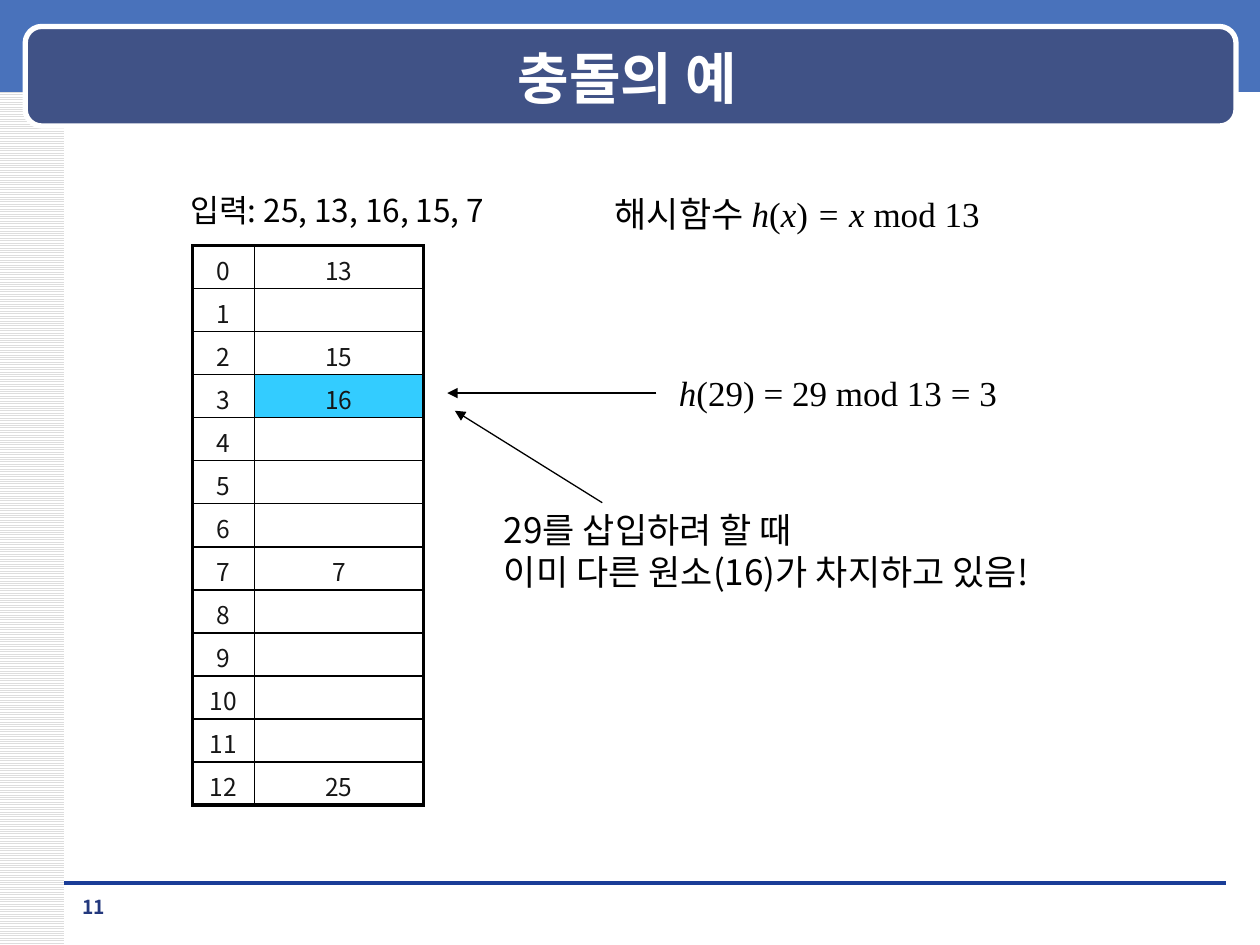
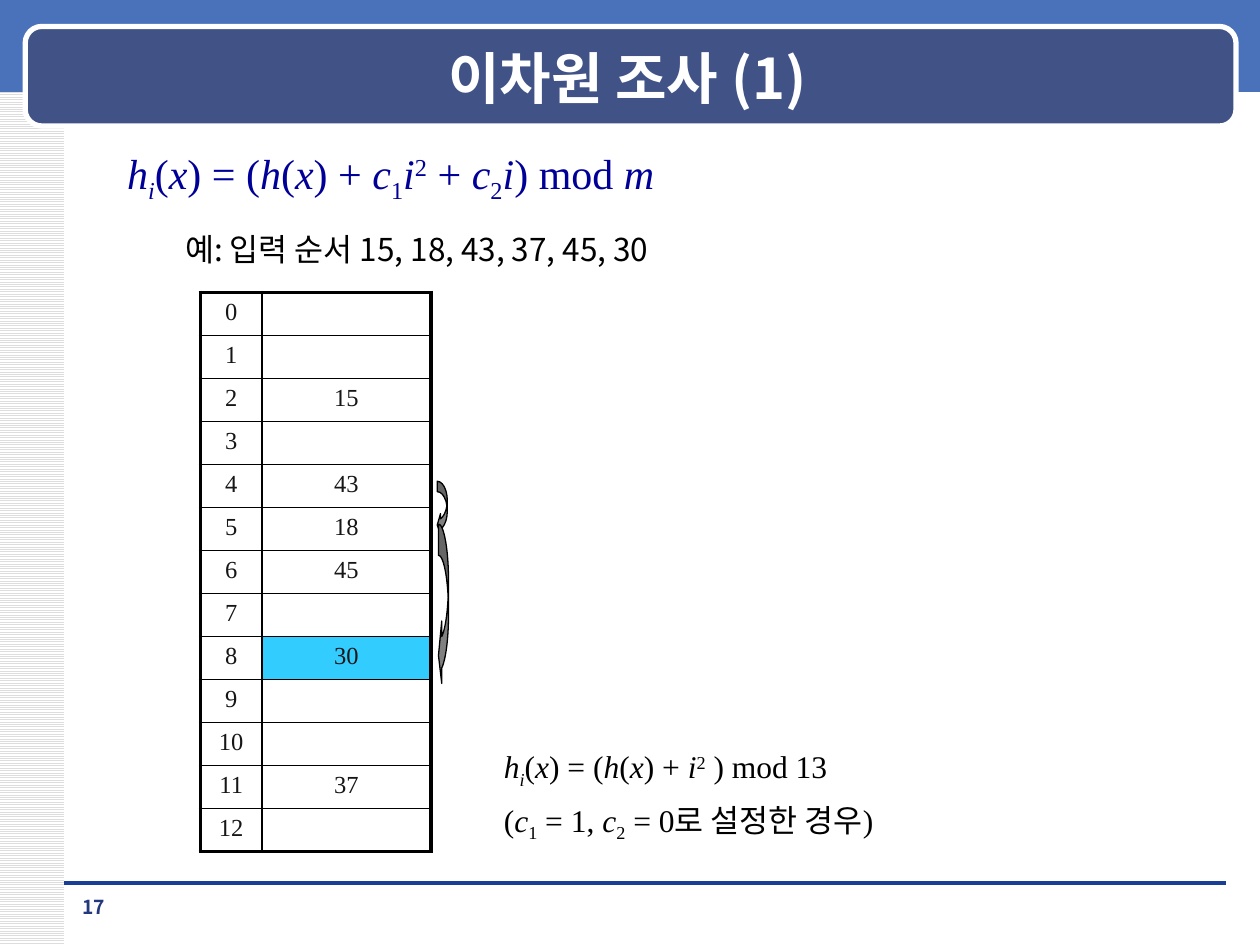
from dataclasses import dataclass
from typing import Optional

import pptx
import pptx.dml.color
import pptx.enum.dml
import pptx.enum.shapes
import pptx.enum.text
import pptx.oxml.ns
import pptx.util
from lxml import etree

Inches = pptx.util.Inches
Pt = pptx.util.Pt
qn = pptx.oxml.ns.qn
MSO_SHAPE = pptx.enum.shapes.MSO_SHAPE
CENTER = pptx.enum.text.PP_ALIGN.CENTER

KOREAN = "Noto Sans CJK KR"
SERIF = "Times New Roman"
COLORS = {
    "white": "FFFFFF", "black": "000000", "stripe": "DDDDDD", "band": "4972BB",
    "title_bar": "405286", "footer_rule": "1A3D97", "page": "23387D",
    "cell_text": "161616", "collision": "33CCFF", "formula": "000099", "probe": "808080",
}
SLOTS = 13
TABLE_HEIGHT = 4.44
COLUMN_WIDTHS = (0.49, 1.34)


@dataclass(frozen=True)
class Run:
    text: str
    italic: bool = False
    baseline: int = 0
    font: Optional[str] = None


@dataclass(frozen=True)
class Style:
    size: float
    font: str = KOREAN
    color: str = "black"
    bold: bool = False
    space_after: float = 0
    line_spacing: Optional[float] = None


@dataclass(frozen=True)
class TextBox:
    at: tuple[float, float, float, float]
    style: Style
    lines: list[list[Run]]
    wrap: bool = False


@dataclass(frozen=True)
class HashTable:
    left: float
    top: float
    font: str
    stored: dict[int, int]
    highlighted: int


@dataclass(frozen=True)
class Arrow:
    start: tuple[float, float]
    end: tuple[float, float]


@dataclass(frozen=True)
class Probe:
    at: tuple[float, float, float, float]
    adjustments: tuple[float, float, float]


def rgb(name: str) -> pptx.dml.color.RGBColor:
    return pptx.dml.color.RGBColor.from_string(COLORS[name])


def var(text: str) -> Run:
    return Run(text, italic=True)


def sub(text: str, italic: bool = False) -> Run:
    return Run(text, italic, -25)


def sup(text: str) -> Run:
    return Run(text, baseline=30)


def add_run(paragraph, part: Run, style: Style) -> None:
    run = paragraph.add_run()
    run.text = part.text
    font = run.font
    font.size, font.name = Pt(style.size), part.font or style.font
    font.bold, font.italic = style.bold, part.italic
    font.color.rgb = rgb(style.color)
    properties = run._r.get_or_add_rPr()
    etree.SubElement(properties, qn("a:ea"), typeface=KOREAN)
    if part.baseline:
        properties.set("baseline", str(part.baseline * 1000))


def add_text(slide, box: TextBox, align=None, grow: bool = True) -> None:
    frame = slide.shapes.add_textbox(*map(Inches, box.at)).text_frame
    frame.word_wrap = box.wrap
    if grow:
        frame.auto_size = pptx.enum.text.MSO_AUTO_SIZE.SHAPE_TO_FIT_TEXT
    for index, line in enumerate(box.lines):
        paragraph = frame.add_paragraph() if index else frame.paragraphs[0]
        paragraph.alignment = align
        paragraph.space_after = Pt(box.style.space_after)
        paragraph.line_spacing = box.style.line_spacing
        for part in line:
            add_run(paragraph, part, box.style)


def add_filled(slide, kind, at, fill: str, line: Optional[str] = None, width: float = 0):
    shape = slide.shapes.add_shape(kind, *map(Inches, at))
    shape.shadow.inherit = False
    shape.fill.solid()
    shape.fill.fore_color.rgb = rgb(fill)
    if line:
        shape.line.color.rgb = rgb(line)
        shape.line.width = Pt(width)
    else:
        shape.line.fill.background()
    return shape


def add_line(slide, start, end, color: str, width: float):
    line = slide.shapes.add_connector(
        pptx.enum.shapes.MSO_CONNECTOR.STRAIGHT, *map(Inches, (*start, *end)))
    line.line.color.rgb = rgb(color)
    line.line.width = Pt(width)
    etree.SubElement(line.element.spPr, qn("a:effectLst"))
    return line


def add_arrow(slide, arrow: Arrow) -> None:
    line = add_line(slide, arrow.start, arrow.end, "black", 0.75)
    etree.SubElement(line.line._get_or_add_ln(), qn("a:tailEnd"), type="triangle")


def add_probe(slide, probe: Probe) -> None:
    shape = add_filled(slide, MSO_SHAPE.CURVED_LEFT_ARROW, probe.at, "probe", "black", 0.75)
    for index, value in enumerate(probe.adjustments):
        shape.adjustments[index] = value


def set_borders(cell, row: int, column: int) -> None:
    outer = {"L": column == 0, "R": column == 1, "T": row == 0, "B": row == SLOTS - 1}
    properties = cell._tc.get_or_add_tcPr()
    for side, is_outer in outer.items():
        width = Pt(2.25 if is_outer else 1)
        border = etree.SubElement(properties, qn(f"a:ln{side}"), w=str(width))
        fill = etree.SubElement(border, qn("a:solidFill"))
        etree.SubElement(fill, qn("a:srgbClr"), val=COLORS["black"])


def add_hash_table(slide, spec: HashTable) -> None:
    table = slide.shapes.add_table(
        SLOTS, 2, Inches(spec.left), Inches(spec.top),
        Inches(sum(COLUMN_WIDTHS)), Inches(TABLE_HEIGHT)).table
    table.first_row = table.horz_banding = False
    for column, width in zip(table.columns, COLUMN_WIDTHS):
        column.width = Inches(width)
    style = Style(14, spec.font, "cell_text")
    for slot in range(SLOTS):
        table.rows[slot].height = Inches(TABLE_HEIGHT / SLOTS)
        for column, value in enumerate((slot, spec.stored.get(slot))):
            cell = table.cell(slot, column)
            cell.margin_top, cell.margin_bottom = Inches(0.05), 0
            set_borders(cell, slot, column)
            if column == 1 and slot == spec.highlighted:
                cell.fill.solid()
                cell.fill.fore_color.rgb = rgb("collision")
            else:
                cell.fill.background()
            paragraph = cell.text_frame.paragraphs[0]
            paragraph.alignment = CENTER
            if value is None:
                etree.SubElement(paragraph._p, qn("a:endParaRPr"), sz="1400")
            else:
                add_run(paragraph, Run(str(value)), style)


def decorate_layout(layout, slide) -> None:
    for placeholder in list(layout.placeholders):
        if placeholder.placeholder_format.idx:
            layout.shapes.element.remove(placeholder.element)
    margin = add_filled(slide, MSO_SHAPE.RECTANGLE, (0, 0, 0.51, 7.5), "white")
    margin.fill.patterned()
    margin.fill.pattern = pptx.enum.dml.MSO_PATTERN.LIGHT_HORIZONTAL
    margin.fill.fore_color.rgb = rgb("stripe")
    margin.fill.back_color.rgb = rgb("white")
    band = add_filled(slide, MSO_SHAPE.RECTANGLE, (0, -0.03, 10, 0.76), "band")
    rule = add_line(slide, (0.51, 7.01), (9.73, 7.01), "footer_rule", 0)
    bar = add_filled(slide, MSO_SHAPE.ROUNDED_RECTANGLE, (0.2, 0.21, 9.61, 0.79),
                     "title_bar", "white", 3)
    for part in (margin, band, rule, bar):
        layout.shapes.element.append(part.element)


def set_heading(slide, title: str, page: int) -> None:
    heading = slide.shapes.title
    heading.left, heading.top, heading.width, heading.height = map(
        Inches, (0.71, 0.3, 8.54, 0.62))
    frame = heading.text_frame
    frame.auto_size = pptx.enum.text.MSO_AUTO_SIZE.NONE
    frame.vertical_anchor = pptx.enum.text.MSO_ANCHOR.MIDDLE
    frame.paragraphs[0].alignment = CENTER
    add_run(frame.paragraphs[0], Run(title), Style(32, color="white", bold=True))
    number = TextBox((0.51, 7.06, 0.47, 0.27), Style(11, color="page", bold=True),
                     [[Run(str(page))]], wrap=True)
    add_text(slide, number, CENTER, grow=False)


def build_collision(slide) -> None:
    set_heading(slide, "충돌의 예", 11)
    add_hash_table(slide, HashTable(1.53, 1.95, KOREAN, {0: 13, 2: 15, 3: 16, 7: 7, 12: 25}, 3))
    hash_function = [Run("해시함수 ", font=KOREAN), var("h"), Run("("), var("x"), Run(")"),
                     var(" = x "), Run("mod 13")]
    for box in (
        TextBox((1.41, 1.47, 2.68, 0.4), Style(18), [[Run("입력: 25, 13, 16, 15, 7")]]),
        TextBox((4.78, 1.48, 3.25, 0.44), Style(20, SERIF), [hash_function]),
        TextBox((3.9, 3.99, 4.88, 0.77), Style(20),
                [[Run("29를 삽입하려 할 때")], [Run("이미 다른 원소(16)가 차지하고 있음!")]], wrap=True),
        TextBox((5.29, 2.9, 2.74, 0.44), Style(20, SERIF),
                [[var("h"), Run("(29) = 29 mod 13 = 3")]]),
    ):
        add_text(slide, box)
    for arrow in (Arrow((5.21, 3.12), (3.55, 3.12)), Arrow((4.78, 3.99), (3.61, 3.26))):
        add_arrow(slide, arrow)


def build_quadratic(slide) -> None:
    set_heading(slide, "이차원 조사 (1)", 17)
    probe_start = [var("h"), sub("i", italic=True), Run("("), var("x"), Run(") = ("),
                   var("h"), Run("("), var("x"), Run(") + ")]
    i_squared = [var("i"), sup("2")]
    c1, c2 = ([var("c"), sub(digit)] for digit in "12")
    general = [*probe_start, *c1, *i_squared, Run(" + "), *c2, var("i"), Run(") mod"), var(" m")]
    special = [*probe_start, *i_squared, Run(" ) mod 13")]
    setting = [Run("("), *c1, Run(" = 1, "), *c2, Run(" = 0로 설정한 경우)")]
    add_hash_table(slide, HashTable(
        1.59, 2.32, SERIF, {2: 15, 4: 43, 5: 18, 6: 45, 8: 30, 11: 37}, 8))
    for probe in (Probe((3.47, 3.82, 0.08, 0.43), (1.03, 2.06, 0.33)),
                  Probe((3.48, 4.16, 0.08, 1.29), (3.1, 6.21, 0.33))):
        add_probe(slide, probe)
    for box in (
        TextBox((0.91, 1.12, 4.48, 0.5), Style(24, SERIF, "formula"), [general]),
        TextBox((1.37, 1.78, 4.18, 0.4), Style(18),
                [[Run("예: 입력 순서 15, 18, 43, 37, 45, 30")]]),
        TextBox((3.9, 5.88, 3.32, 0.79), Style(18, SERIF, space_after=6), [special, setting]),
    ):
        add_text(slide, box)


def main() -> None:
    deck = pptx.Presentation()
    deck.slide_width, deck.slide_height = Inches(10), Inches(7.5)
    layout = deck.slide_layouts[5]
    collision, quadratic = (deck.slides.add_slide(layout) for _ in range(2))
    decorate_layout(layout, collision)
    build_collision(collision)
    build_quadratic(quadratic)
    deck.save("out.pptx")


if __name__ == "__main__":
    main()
